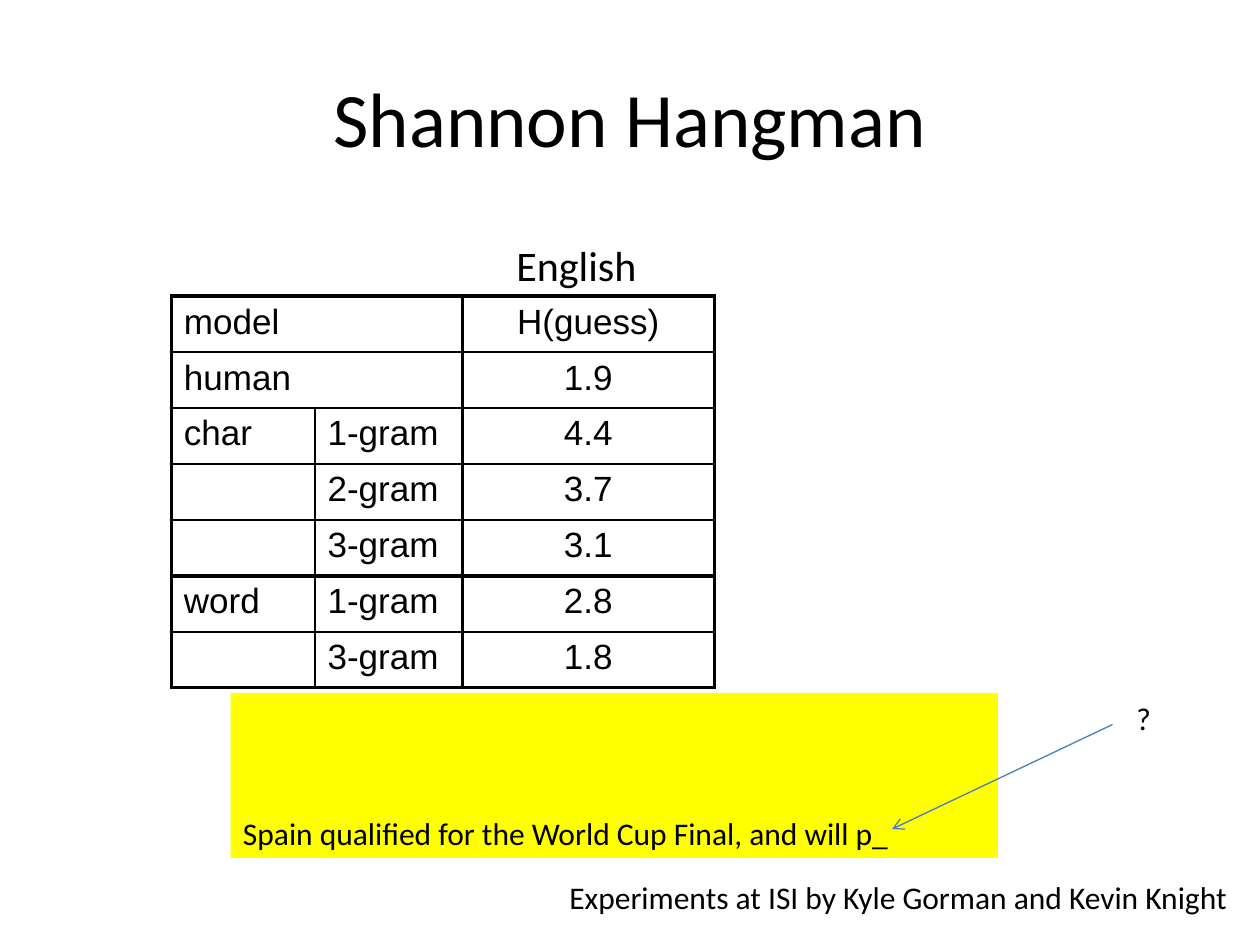
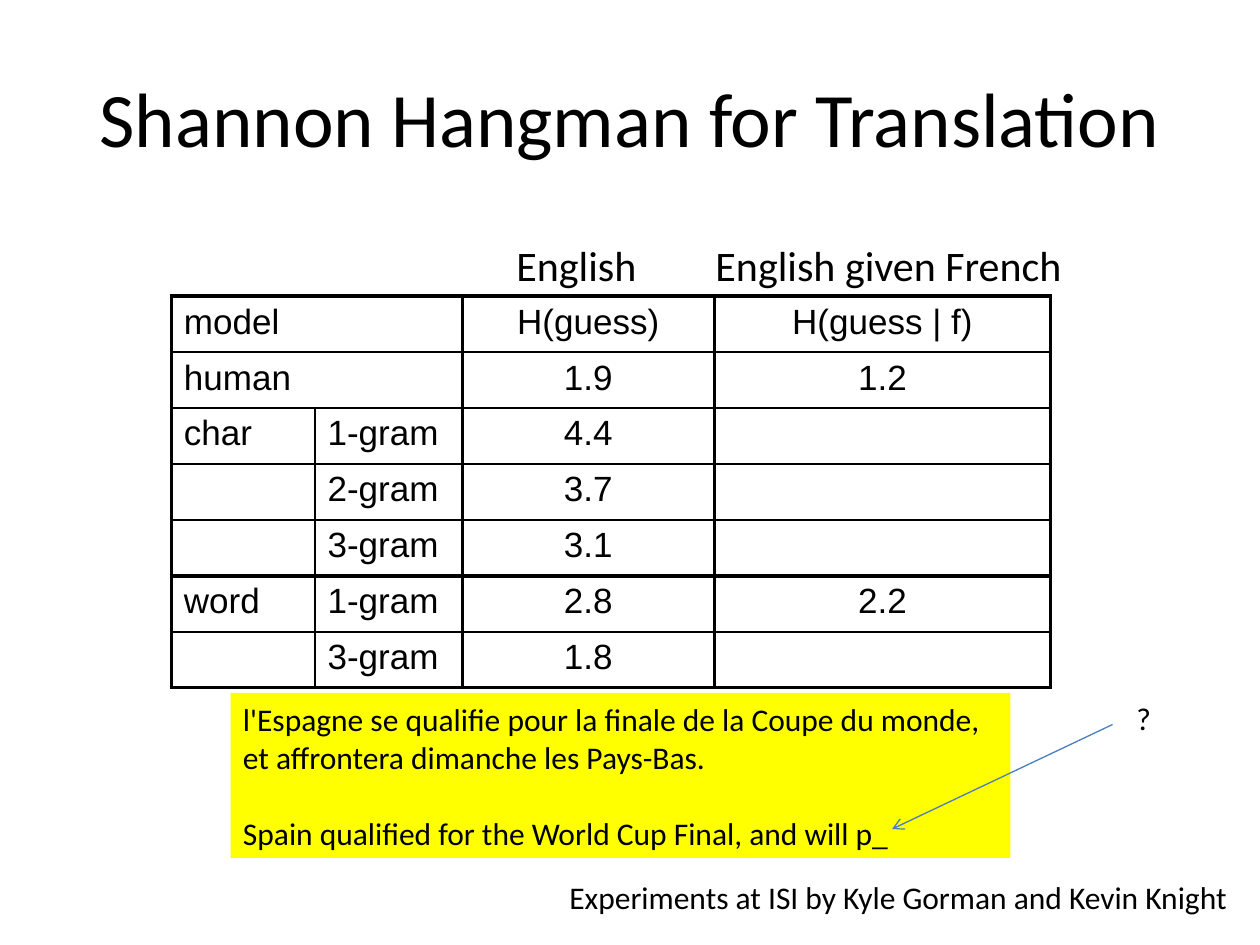
from typing import NamedTuple

import pptx
import pptx.dml.color
import pptx.enum.shapes
import pptx.enum.text
import pptx.oxml
import pptx.oxml.ns
import pptx.util
from lxml import etree

RGBColor = pptx.dml.color.RGBColor
PP_ALIGN = pptx.enum.text.PP_ALIGN
MSO_ANCHOR = pptx.enum.text.MSO_ANCHOR

BLACK = RGBColor(0x00, 0x00, 0x00)
YELLOW = RGBColor(0xFF, 0xFF, 0x00)
BLUE = RGBColor(0x4B, 0x7E, 0xBC)
BODY_FONT, TABLE_FONT = "Calibri", "Arial"
WIDTH, HEIGHT = pptx.util.Inches(10), pptx.util.Inches(7.5)
TITLE_ONLY = 5


class Area(NamedTuple):
    """A rectangle in percent of the slide's width and height."""
    left: float
    top: float
    width: float
    height: float


class Label(NamedTuple):
    text: str
    area: Area
    size: int


class Column(NamedTuple):
    width: float  # percent of the slide's width
    cells: list[str]
    align: PP_ALIGN


class Hangman(NamedTuple):
    title: str
    columns: list[Column]
    labels: list[Label]
    french: list[str]
    note_width: float


# Shared geometry
TITLE_AREA = Area(5, 4, 90, 16.67)
TABLE_LEFT, TABLE_TOP, TABLE_HEIGHT = 13.6, 31.33, 41.47
NOTE_LEFT, NOTE_TOP, NOTE_HEIGHT = 18.3, 73.33, 17.47
ARROW_FROM, ARROW_TO = (88.3, 76.67), (70.8, 87.73)

# Rules of the table: these edges are thick, the others thin
THICK, THIN = 2.25, 1
THICK_COLUMN_EDGES = {0, 2, 3, 4}
THICK_ROW_EDGES = {0, 5, 7}
MERGED_ROWS = {0, 1}

# Shared content
PUZZLE = "Spain qualified for the World Cup Final, and will p_"
MODEL_COLUMNS = [
    Column(11.4, ["model", "human", "char", "", "", "word", ""], PP_ALIGN.LEFT),
    Column(11.7, ["", "", "1-gram", "2-gram", "3-gram", "1-gram", "3-gram"], PP_ALIGN.LEFT),
    Column(20, ["H(guess)", "1.9", "4.4", "3.7", "3.1", "2.8", "1.8"], PP_ALIGN.CENTER),
]
FRENCH_COLUMN = Column(26.7, ["H(guess | f)", "1.2", "", "", "", "2.2", ""], PP_ALIGN.CENTER)
COMMON_LABELS = [
    Label("English", Area(40, 24.67, 11.6, 6.67), 24),
    Label("Experiments at ISI by Kyle Gorman and Kevin Knight", Area(44.2, 92.27, 54.9, 5.33), 18),
    Label("?", Area(89.2, 73.33, 3.2, 5.33), 18),
]
FRENCH_LABEL = Label("English given French", Area(55.8, 24.67, 29.8, 6.67), 24)

SLIDES = [
    Hangman("Shannon Hangman", MODEL_COLUMNS, COMMON_LABELS, [], 60.9),
    Hangman("Shannon Hangman for Translation", MODEL_COLUMNS + [FRENCH_COLUMN],
            COMMON_LABELS + [FRENCH_LABEL],
            ["l'Espagne se qualifie pour la finale de la Coupe du monde,",
             "et affrontera dimanche les Pays-Bas."], 61.9),
]


def across(share: float) -> int:
    return round(WIDTH * share / 100)


def down(share: float) -> int:
    return round(HEIGHT * share / 100)


def place(area: Area) -> tuple[int, int, int, int]:
    return across(area.left), down(area.top), across(area.width), down(area.height)


def write(p, text: str, size: float, font: str = BODY_FONT, align=PP_ALIGN.LEFT) -> None:
    p.alignment = align
    r = p.add_run()
    r.text = text
    r.font.name, r.font.size = font, pptx.util.Pt(size)
    r.font.color.rgb = BLACK


def add_title(s, text: str) -> None:
    sp = s.shapes.title
    sp.left, sp.top, sp.width, sp.height = place(TITLE_AREA)
    sp.text_frame.vertical_anchor = MSO_ANCHOR.MIDDLE
    write(sp.text_frame.paragraphs[0], text, 44, align=PP_ALIGN.CENTER)


def add_label(s, label: Label) -> None:
    tf = s.shapes.add_textbox(*place(label.area)).text_frame
    tf.word_wrap = False
    write(tf.paragraphs[0], label.text, label.size)


def add_border(cell, side: str, points: float) -> None:
    ln = etree.SubElement(cell._tc.get_or_add_tcPr(), pptx.oxml.ns.qn(f"a:ln{side}"),
                          w=str(pptx.util.Pt(points)))
    fill = etree.SubElement(ln, pptx.oxml.ns.qn("a:solidFill"))
    etree.SubElement(fill, pptx.oxml.ns.qn("a:srgbClr"), val=str(BLACK))


def rule_cell(cell, row: int, column: int) -> None:
    for side, edge, thick in (("L", column, THICK_COLUMN_EDGES),
                              ("R", column + 1, THICK_COLUMN_EDGES),
                              ("T", row, THICK_ROW_EDGES),
                              ("B", row + 1, THICK_ROW_EDGES)):
        inside_merge = side in "LR" and edge == 1 and row in MERGED_ROWS
        if not inside_merge:
            add_border(cell, side, THICK if edge in thick else THIN)


def add_score_table(s, columns: list[Column]) -> None:
    rows = len(columns[0].cells)
    area = Area(TABLE_LEFT, TABLE_TOP, sum(c.width for c in columns), TABLE_HEIGHT)
    table = s.shapes.add_table(rows, len(columns), *place(area)).table
    table.first_row = table.horz_banding = False
    for i, column in enumerate(columns):
        table.columns[i].width = across(column.width)
        for j, text in enumerate(column.cells):
            cell = table.cell(j, i)
            rule_cell(cell, j, i)
            cell.fill.background()
            if text:
                write(cell.text_frame.paragraphs[0], text, 20, TABLE_FONT, column.align)
    for j in MERGED_ROWS:
        table.cell(j, 0).merge(table.cell(j, 1))


def add_note(s, french: list[str], width: float) -> None:
    sp = s.shapes.add_shape(pptx.enum.shapes.MSO_SHAPE.RECTANGLE,
                            *place(Area(NOTE_LEFT, NOTE_TOP, width, NOTE_HEIGHT)))
    sp.shadow.inherit = False
    sp.fill.solid()
    sp.fill.fore_color.rgb = YELLOW
    sp.line.fill.background()
    tf = sp.text_frame
    tf.word_wrap = True
    tf.vertical_anchor = MSO_ANCHOR.BOTTOM
    for i, text in enumerate(french + [PUZZLE]):
        p = tf.add_paragraph() if i else tf.paragraphs[0]
        write(p, text, 18)
    if french:
        p.space_before = pptx.util.Pt(22)


def add_arrow(s) -> None:
    (x1, y1), (x2, y2) = ARROW_FROM, ARROW_TO
    line = s.shapes.add_connector(pptx.enum.shapes.MSO_CONNECTOR.STRAIGHT,
                                  across(x1), down(y1), across(x2), down(y2))
    line.line.color.rgb = BLUE
    line.line.width = pptx.util.Pt(0.75)
    etree.SubElement(line.line._get_or_add_ln(), pptx.oxml.ns.qn("a:tailEnd"), type="arrow")
    etree.SubElement(line._element.spPr, pptx.oxml.ns.qn("a:effectLst"))


def main() -> None:
    prs = pptx.Presentation()
    prs.slide_width, prs.slide_height = WIDTH, HEIGHT
    for hangman in SLIDES:
        s = prs.slides.add_slide(prs.slide_layouts[TITLE_ONLY])
        add_title(s, hangman.title)
        add_score_table(s, hangman.columns)
        for label in hangman.labels:
            add_label(s, label)
        add_note(s, hangman.french, hangman.note_width)
        add_arrow(s)
    prs.save("out.pptx")


if __name__ == "__main__":
    main()
